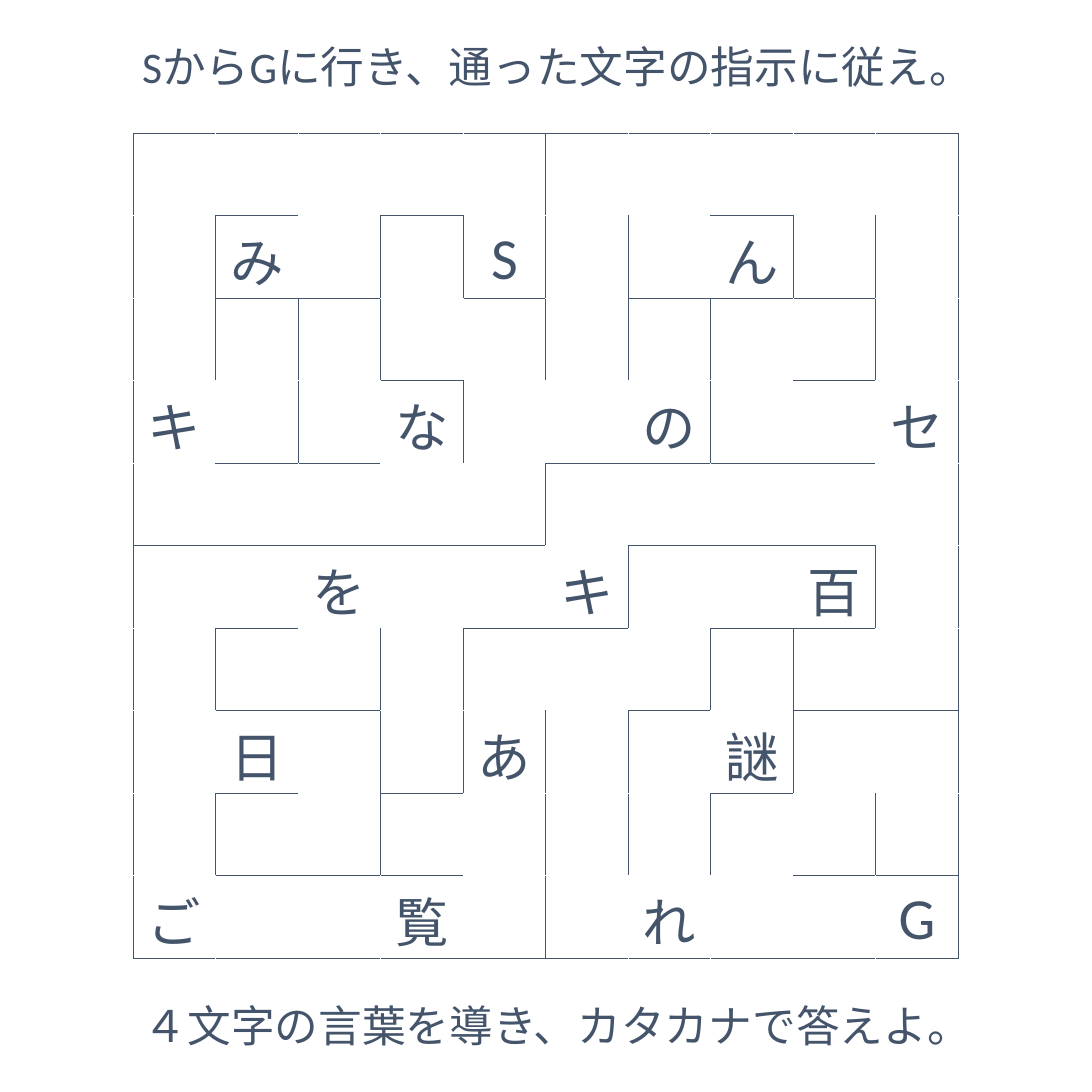
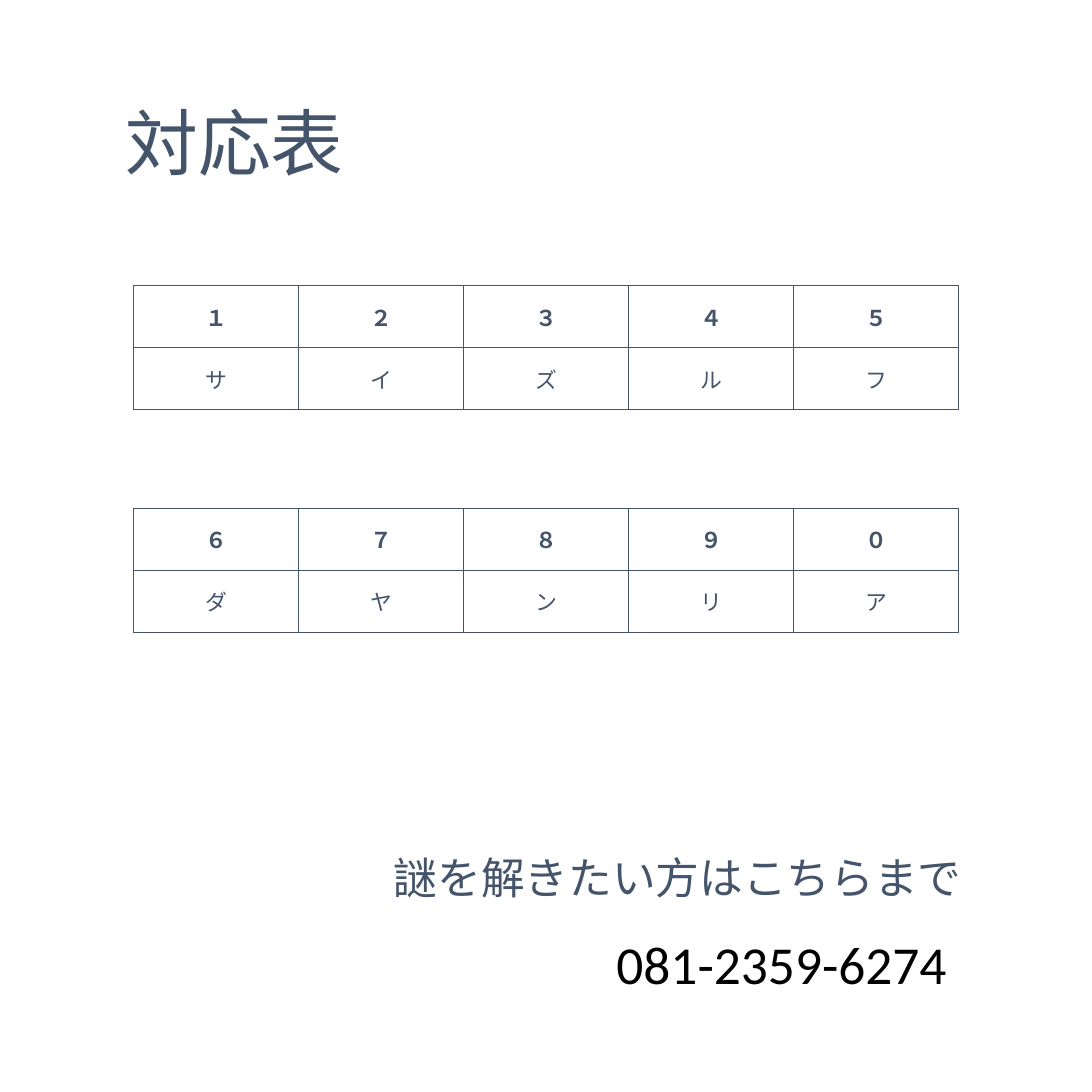
from dataclasses import dataclass

from lxml import etree
from pptx import Presentation
from pptx import util as u
from pptx.dml.color import RGBColor
from pptx.enum import text
from pptx.oxml import ns


@dataclass(frozen=True)
class Theme:
    font: str = "Calibri"
    ink: str = "44546A"
    paper: str = "FFFFFF"
    black: str = "000000"
    heading: float = 60
    letter: float = 44
    marker: float = 48
    body: float = 36
    key: float = 18
    line: float = 1


THEME = Theme()
SLIDE_SIZE = 900
TITLE_ONLY = 5
GRID_LEFT = 110
GRID_WIDTH = 680
MAZE_SIZE = 10
KEY_ROW = 51

FLOORS = [
    {1, 3, 7},
    {1, 2, 4, 6, 7, 8},
    {3, 8},
    {1, 2, 5, 6, 7, 8},
    {0, 1, 2, 3, 4, 6, 7, 8},
    {1, 4, 5, 7, 8},
    {1, 2, 6, 8, 9},
    {1, 3, 7},
    {1, 2, 3, 8, 9},
    set(range(MAZE_SIZE)),
]
RIGHT_WALLS = [
    {4},
    {0, 2, 3, 4, 5, 7, 8},
    {0, 1, 2, 4, 5, 6, 8},
    {1, 3, 6},
    {4},
    {5, 8},
    {0, 2, 3, 6, 7},
    {2, 3, 4, 5, 7},
    {0, 2, 4, 5, 6, 8},
    {4},
]
LETTERS = {
    (1, 1): "み", (1, 4): "S", (1, 7): "ん",
    (3, 0): "キ", (3, 3): "な", (3, 6): "の", (3, 9): "セ",
    (5, 2): "を", (5, 5): "キ", (5, 8): "百",
    (7, 1): "日", (7, 4): "あ", (7, 7): "謎",
    (9, 0): "ご", (9, 3): "覧", (9, 6): "れ", (9, 9): "G",
}
KEY_TABLES = [
    (235.5, ["１２３４５", "サイズルフ"]),
    (419, ["６７８９０", "ダヤンリア"]),
]


def write(frame, words, size=THEME.body, color=THEME.ink, bold=False,
          align=text.PP_ALIGN.LEFT):
    para = frame.paragraphs[0]
    para.alignment = align
    span = para.add_run()
    span.text = words
    span.font.name = THEME.font
    span.font.size = u.Pt(size)
    span.font.bold = bold
    span.font.color.rgb = RGBColor.from_string(color)


def place(box, left, top, width, height, words, **style):
    box.left, box.top = u.Pt(left), u.Pt(top)
    box.width, box.height = u.Pt(width), u.Pt(height)
    frame = box.text_frame
    frame.word_wrap = False
    frame.auto_size = text.MSO_AUTO_SIZE.SHAPE_TO_FIT_TEXT
    frame.vertical_anchor = text.MSO_ANCHOR.TOP
    write(frame, words, **style)


def add_text(page, left, top, width, height, words, **style):
    box = page.shapes.add_textbox(0, 0, 0, 0)
    place(box, left, top, width, height, words, **style)


def add_page(deck, *title, **style):
    page = deck.slides.add_slide(deck.slide_layouts[TITLE_ONLY])
    place(page.shapes.title, *title, **style)
    return page


def add_grid(page, top, rows, columns, row_height):
    table = page.shapes.add_table(
        rows, columns, u.Pt(GRID_LEFT), u.Pt(top),
        u.Pt(GRID_WIDTH), u.Pt(rows * row_height)).table
    table.first_row = table.horz_banding = False
    for row in table.rows:
        row.height = u.Pt(row_height)
    for column in table.columns:
        column.width = u.Pt(GRID_WIDTH / columns)
    return table


def format_cell(cell, left=True, right=True, top=True, bottom=True):
    properties = cell._tc.get_or_add_tcPr()
    edges = {"lnL": left, "lnR": right, "lnT": top, "lnB": bottom}
    for tag, is_wall in edges.items():
        line = etree.SubElement(properties, ns.qn("a:" + tag),
                                w=str(u.Pt(THEME.line)))
        fill = etree.SubElement(line, ns.qn("a:solidFill"))
        etree.SubElement(fill, ns.qn("a:srgbClr"),
                         val=THEME.ink if is_wall else THEME.paper)
    cell.fill.solid()
    cell.fill.fore_color.rgb = RGBColor.from_string(THEME.paper)
    cell.vertical_anchor = text.MSO_ANCHOR.MIDDLE


def add_maze(page):
    table = add_grid(page, GRID_LEFT, MAZE_SIZE, MAZE_SIZE,
                     GRID_WIDTH / MAZE_SIZE)
    for row in range(MAZE_SIZE):
        for column in range(MAZE_SIZE):
            cell = table.cell(row, column)
            format_cell(
                cell,
                left=column == 0 or column - 1 in RIGHT_WALLS[row],
                right=column == MAZE_SIZE - 1 or column in RIGHT_WALLS[row],
                top=row == 0 or column in FLOORS[row - 1],
                bottom=column in FLOORS[row])
            cell.margin_bottom = 0
            letter = LETTERS.get((row, column))
            if letter:
                size = THEME.marker if letter in "SG" else THEME.letter
                write(cell.text_frame, letter, size=size,
                      align=text.PP_ALIGN.CENTER)


def add_key(page, top, rows):
    table = add_grid(page, top, len(rows), len(rows[0]), KEY_ROW)
    for row, symbols in enumerate(rows):
        for column, symbol in enumerate(symbols):
            cell = table.cell(row, column)
            format_cell(cell)
            write(cell.text_frame, symbol, size=THEME.key, bold=row == 0,
                  align=text.PP_ALIGN.CENTER)


def main():
    deck = Presentation()
    deck.slide_width = deck.slide_height = u.Pt(SLIDE_SIZE)

    page = add_page(deck, 110, 29.5, 708.5, 51,
                    "SからGに行き、通った文字の指示に従え。")
    add_maze(page)
    add_text(page, 111.5, 819.5, 705, 51,
             "４文字の言葉を導き、カタカナで答えよ。")

    page = add_page(deck, 96, 77, 196.5, 80, "対応表", size=THEME.heading)
    for top, rows in KEY_TABLES:
        add_key(page, top, rows)
    add_text(page, 317.5, 697.5, 487.5, 51, "謎を解きたい方はこちらまで")
    add_text(page, 501, 764, 289, 60.5, "081-2359-6274",
             size=THEME.letter, color=THEME.black)

    deck.save("out.pptx")


if __name__ == "__main__":
    main()
